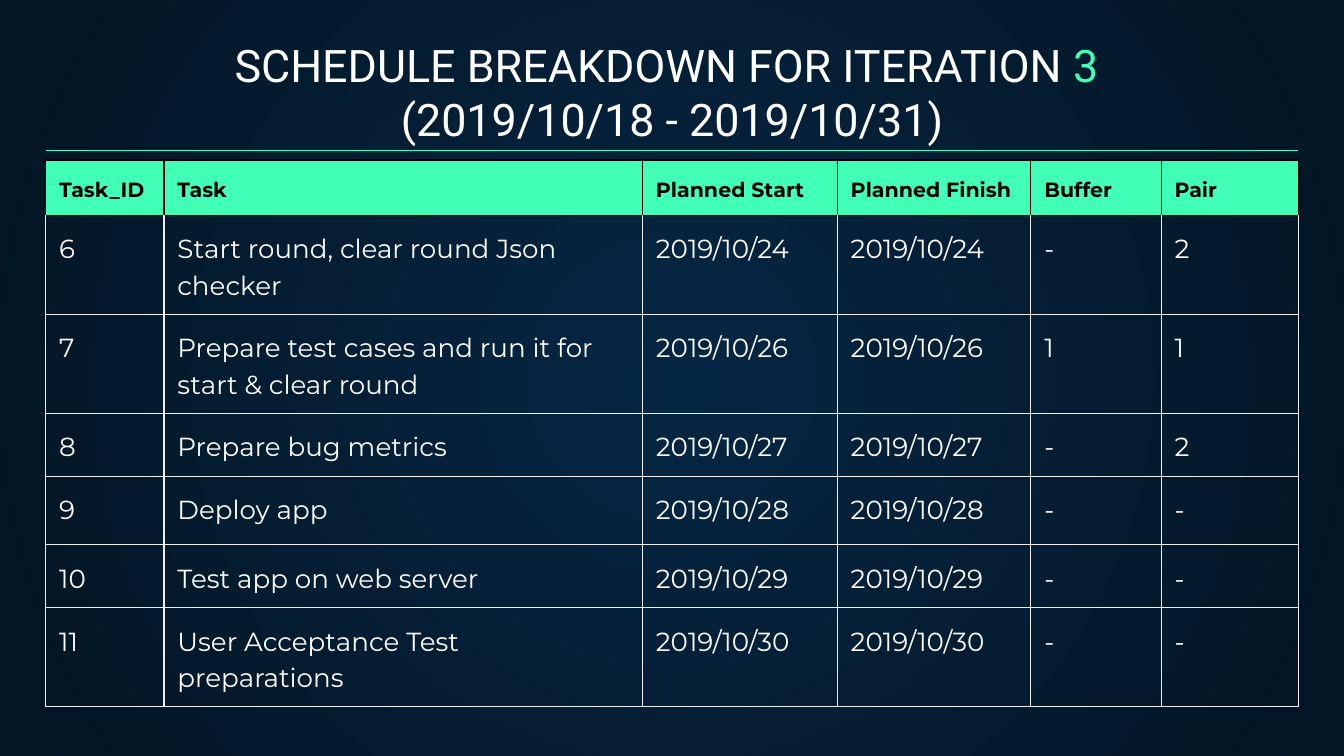
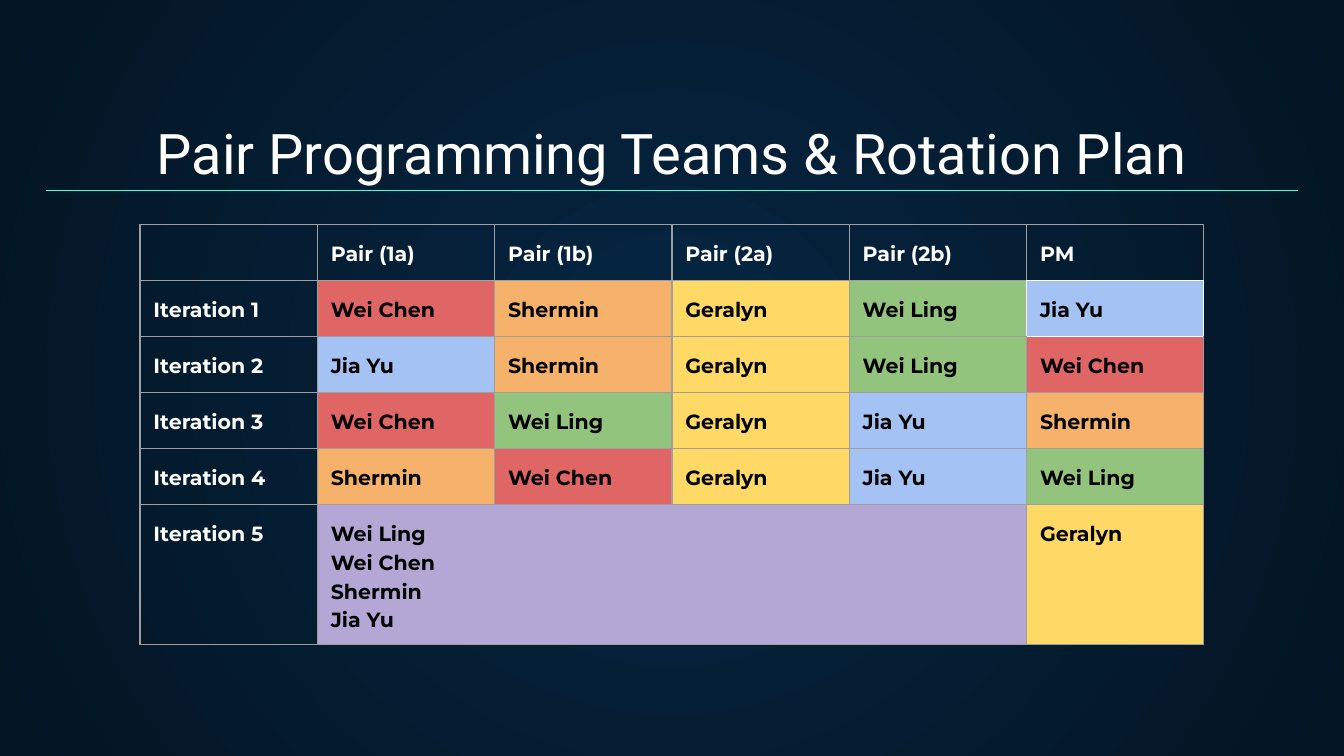
from dataclasses import dataclass, field

from lxml import etree
from pptx import Presentation
from pptx.dml.color import RGBColor
from pptx.enum.shapes import MSO_CONNECTOR
from pptx.enum.text import MSO_ANCHOR, PP_ALIGN
from pptx.oxml.ns import qn
from pptx.util import Pt

STRAIGHT = MSO_CONNECTOR.STRAIGHT
BOTTOM = MSO_ANCHOR.BOTTOM
CENTER = PP_ALIGN.CENTER

# Colours
GLOW = RGBColor(0x05, 0x26, 0x43)
NIGHT = RGBColor(0x04, 0x15, 0x23)
WHITE = RGBColor(0xFF, 0xFF, 0xFF)
BLACK = RGBColor(0x00, 0x00, 0x00)
MINT = RGBColor(0x42, 0xFF, 0xB7)
AQUA = RGBColor(0x48, 0xFF, 0xD5)
PALE = RGBColor(0xEF, 0xEF, 0xEF)
GREY = RGBColor(0x9E, 0x9E, 0x9E)
LILAC = RGBColor(0xB4, 0xA7, 0xD6)
MEMBER_COLORS = {
    "Wei Chen": RGBColor(0xE0, 0x66, 0x66),
    "Shermin": RGBColor(0xF6, 0xB2, 0x6B),
    "Geralyn": RGBColor(0xFF, 0xD9, 0x66),
    "Wei Ling": RGBColor(0x93, 0xC4, 0x7D),
    "Jia Yu": RGBColor(0xA4, 0xC2, 0xF4),
}

# Shared measures, in points
LEFT, WIDTH = 24.5, 671
TITLE_HEIGHT, RULE_DROP = 47.5, 43.2
INSET, LINE_WIDTH = 7.2, 0.75
TITLE_FONT, TABLE_FONT = "Roboto", "Montserrat"
NO_STYLE = "{2D5ABB26-0587-4C30-8999-92F81FD0307C}"
# Border tag and the step to the neighbour that shares it
SIDES = {"a:lnL": (0, -1), "a:lnR": (0, 1), "a:lnT": (-1, 0), "a:lnB": (1, 0)}

SCHEDULE = [
    ["Task_ID", "Task", "Planned Start", "Planned Finish", "Buffer", "Pair"],
    ["6", "Start round, clear round Json checker", "2019/10/24", "2019/10/24", "-", "2"],
    ["7", "Prepare test cases and run it for start & clear round",
     "2019/10/26", "2019/10/26", "1", "1"],
    ["8", "Prepare bug metrics", "2019/10/27", "2019/10/27", "-", "2"],
    ["9", "Deploy app", "2019/10/28", "2019/10/28", "-", "-"],
    ["10", "Test app on web server", "2019/10/29", "2019/10/29", "-", "-"],
    ["11", "User Acceptance Test preparations", "2019/10/30", "2019/10/30", "-", "-"],
]
ROTATION = [
    ["", "Pair (1a)", "Pair (1b)", "Pair (2a)", "Pair (2b)", "PM"],
    ["Iteration 1", "Wei Chen", "Shermin", "Geralyn", "Wei Ling", "Jia Yu"],
    ["Iteration 2", "Jia Yu", "Shermin", "Geralyn", "Wei Ling", "Wei Chen"],
    ["Iteration 3", "Wei Chen", "Wei Ling", "Geralyn", "Jia Yu", "Shermin"],
    ["Iteration 4", "Shermin", "Wei Chen", "Geralyn", "Jia Yu", "Wei Ling"],
    ["Iteration 5", "Wei Ling\nWei Chen\nShermin\nJia Yu", "", "", "", "Geralyn"],
]


@dataclass
class CellLook:
    color: RGBColor = WHITE
    fill: RGBColor | None = None
    size: float = 11
    bold: bool = True


@dataclass
class Grid:
    left: float
    top: float
    height: float
    columns: list[float]
    rows: list[float]
    texts: list[list[str]]
    looks: list[list[CellLook]]
    border: RGBColor
    # Cells whose border colour wins over their neighbours
    accents: dict[tuple[int, int], RGBColor] = field(default_factory=dict)
    merges: list[tuple[int, int, int, int]] = field(default_factory=list)


def set_format(target, values: dict) -> None:
    for name, value in values.items():
        setattr(target, name, value)


def add_page(deck):
    """Add a blank slide with the round gradient background."""
    page = deck.slides.add_slide(deck.slide_layouts[6])
    fill = page.background.fill
    fill.gradient()
    for stop, color in zip(fill.gradient_stops, (GLOW, NIGHT)):
        stop.color.rgb = color
    gradient = page._element.find(".//" + qn("a:gradFill"))
    gradient.remove(gradient.find(qn("a:lin")))
    circle = etree.SubElement(gradient, qn("a:path"), {"path": "circle"})
    etree.SubElement(circle, qn("a:fillToRect"), dict.fromkeys("ltrb", "50000"))
    return page


def add_title(page, top: float, size: float,
              lines: list[list[tuple[str, RGBColor]]]) -> None:
    """Add the centred title and the rule under it."""
    box = page.shapes.add_textbox(Pt(LEFT), Pt(top), Pt(WIDTH), Pt(TITLE_HEIGHT))
    frame = box.text_frame
    set_format(frame, {"word_wrap": True, "vertical_anchor": BOTTOM,
                       "margin_left": Pt(INSET), "margin_right": Pt(INSET),
                       "margin_top": Pt(INSET), "margin_bottom": Pt(INSET)})
    para = frame.paragraphs[0]
    para.alignment = CENTER
    for number, line in enumerate(lines):
        if number:
            para.add_line_break()
        for text, color in line:
            span = para.add_run()
            span.text = text
            set_format(span.font, {"name": TITLE_FONT, "size": Pt(size)})
            span.font.color.rgb = color

    y = Pt(top + RULE_DROP)
    rule = page.shapes.add_connector(STRAIGHT, Pt(LEFT), y, Pt(LEFT + WIDTH), y)
    rule.line.color.rgb = AQUA
    rule.line.width = Pt(LINE_WIDTH)
    etree.SubElement(rule._element.spPr, qn("a:effectLst"))


def add_borders(cell, grid: Grid, row: int, column: int) -> None:
    properties = cell._tc.get_or_add_tcPr()
    own = grid.accents.get((row, column))
    for tag, (down, across) in SIDES.items():
        color = own or grid.accents.get((row + down, column + across), grid.border)
        line = etree.SubElement(properties, qn(tag), w=str(Pt(LINE_WIDTH)))
        solid = etree.SubElement(line, qn("a:solidFill"))
        etree.SubElement(solid, qn("a:srgbClr"), val=str(color))


def fill_cell(cell, text: str, look: CellLook) -> None:
    set_format(cell, {"text": text, "margin_left": Pt(INSET), "margin_right": Pt(INSET),
                      "margin_top": Pt(INSET), "margin_bottom": Pt(INSET)})
    if look.fill is None:
        cell.fill.background()
    else:
        cell.fill.solid()
        cell.fill.fore_color.rgb = look.fill
    for para in cell.text_frame.paragraphs:
        para.line_spacing = 1.15
        for span in para.runs:
            set_format(span.font, {"name": TABLE_FONT, "size": Pt(look.size),
                                   "bold": look.bold})
            span.font.color.rgb = look.color
        if not para.runs:  # keeps an empty cell from raising its row
            etree.SubElement(para._p, qn("a:endParaRPr"), sz=str(int(look.size * 100)))


def add_grid(page, grid: Grid) -> None:
    holder = page.shapes.add_table(len(grid.rows), len(grid.columns), Pt(grid.left),
                                   Pt(grid.top), Pt(sum(grid.columns)), Pt(grid.height))
    table = holder.table
    set_format(table, {"first_row": False, "horz_banding": False})
    table._tbl.tblPr.find(qn("a:tableStyleId")).text = NO_STYLE
    for column, width in zip(table.columns, grid.columns):
        column.width = Pt(width)
    for row, height in zip(table.rows, grid.rows):
        row.height = Pt(height)
    holder.height = Pt(grid.height)
    for top, left, bottom, right in grid.merges:
        table.cell(top, left).merge(table.cell(bottom, right))
    for row, texts in enumerate(grid.texts):
        for column, text in enumerate(texts):
            cell = table.cell(row, column)
            if not cell.is_spanned:
                add_borders(cell, grid, row, column)
                fill_cell(cell, text, grid.looks[row][column])


def member_look(text: str, row: int, column: int) -> CellLook:
    """Headings are white on the background; members carry their own colour."""
    if row == 0 or column == 0:
        return CellLook()
    return CellLook(BLACK, MEMBER_COLORS.get(text, LILAC))


def build_schedule(deck) -> None:
    page = add_page(deck)
    add_title(page, 37.4, 24, [
        [("SCHEDULE BREAKDOWN FOR ITERATION ", WHITE), ("3 ", MINT)],
        [("(2019/10/18 - 2019/10/31)", WHITE)],
    ])
    columns = [63.4, 256.3, 104.4, 103.7, 69.8, 73.4]
    count = len(columns)
    heading, body = CellLook(BLACK, MINT), CellLook(size=14, bold=False)
    add_grid(page, Grid(
        LEFT, 85.7, 285.8, columns, [28.8, 36.7, 32.4, 32.4, 36.7, 32.4, 32.4], SCHEDULE,
        [[heading] * count] + [[body] * count for _ in SCHEDULE[1:]], PALE,
        accents={(0, column): BLACK for column in range(count)}))


def build_rotation(deck) -> None:
    page = add_page(deck)
    add_title(page, 59, 30, [[("Pair Programming Teams & Rotation Plan", WHITE)]])
    looks = [[member_look(text, row, column) for column, text in enumerate(texts)]
             for row, texts in enumerate(ROTATION)]
    add_grid(page, Grid(75, 120.2, 225.4, [95] * 6, [30] * 6, ROTATION, looks, GREY,
                        accents={(1, 5): WHITE}, merges=[(5, 1, 5, 4)]))


def main() -> None:
    deck = Presentation()
    set_format(deck, {"slide_width": Pt(720), "slide_height": Pt(405)})
    build_schedule(deck)
    build_rotation(deck)
    deck.save("out.pptx")


if __name__ == "__main__":
    main()
